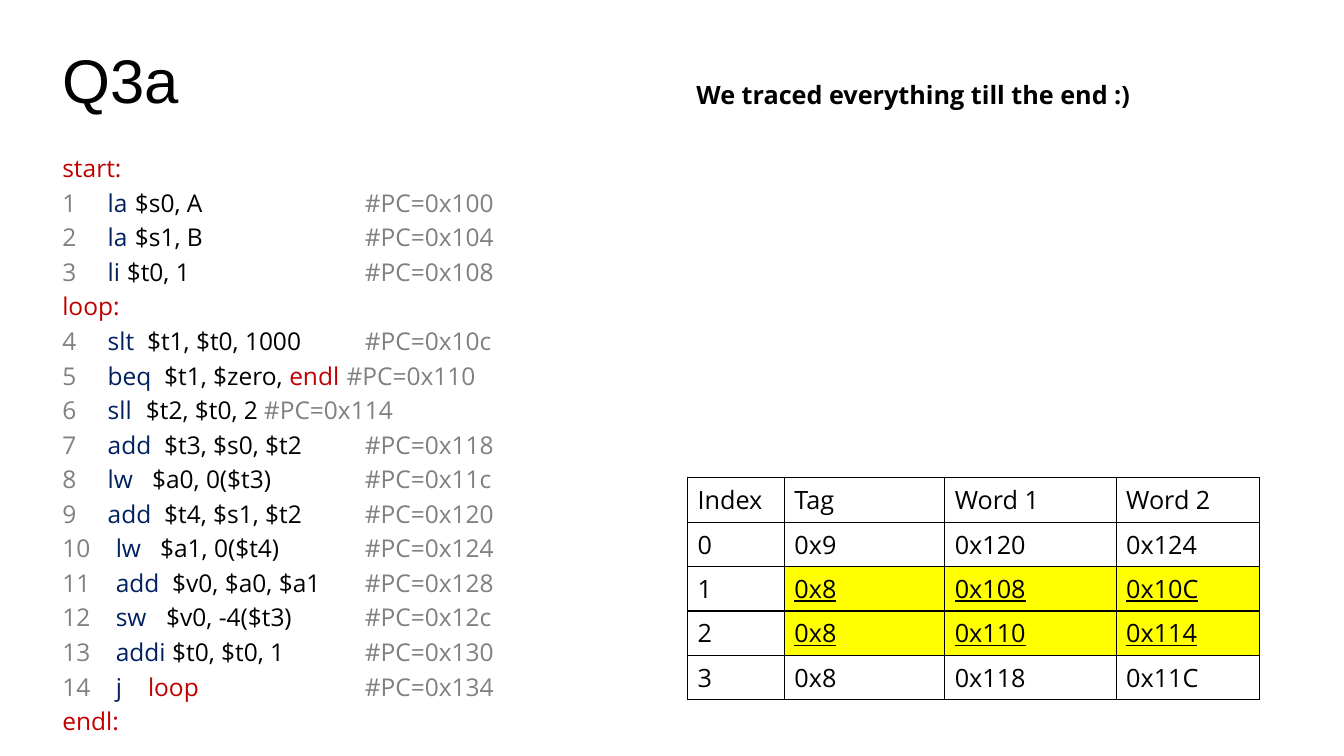
from lxml import etree
from pptx import Presentation
from pptx.dml.color import RGBColor
from pptx.enum.text import MSO_ANCHOR, MSO_AUTO_SIZE, PP_ALIGN
from pptx.oxml.ns import qn
from pptx.util import Inches, Pt

LEFT = PP_ALIGN.LEFT
MIDDLE = MSO_ANCHOR.MIDDLE
NO_AUTOFIT = MSO_AUTO_SIZE.NONE
TITLE_ONLY = 5

BODY_FONT = "Open Sans"
BLACK, WHITE, YELLOW = "000000", "FFFFFF", "FFFF00"
RED, NAVY, GRAY = "C00000", "002060", "808080"

FIRST_ADDRESS = 0x100
COMMENT_STOP = 3.0
OPERAND_OFFSETS = {
    "la": 0.27, "li": 0.19, "slt": 0.39, "beq": 0.56, "sll": 0.38,
    "add": 0.56, "lw": 0.44, "sw": 0.5, "addi": 0.56, "j": 0.32,
}
COMMENT_STOPS = {"beq": 2.82, "sll": 2.0}
PROGRAM = [
    ("start:", [("la", "$s0, A", ""), ("la", "$s1, B", ""), ("li", "$t0, 1", "")]),
    ("loop:", [
        ("slt", "$t1, $t0, 1000", ""),
        ("beq", "$t1, $zero, ", "endl"),
        ("sll", "$t2, $t0, 2", ""),
        ("add", "$t3, $s0, $t2", ""),
        ("lw", "$a0, 0($t3)", ""),
        ("add", "$t4, $s1, $t2", ""),
        ("lw", "$a1, 0($t4)", ""),
        ("add", "$v0, $a0, $a1", ""),
        ("sw", "$v0, -4($t3)", ""),
        ("addi", "$t0, $t0, 1", ""),
        ("j", "", "loop"),
    ]),
    ("endl:", []),
]
CACHE_COLUMNS = [0.96, 1.59, 1.7, 1.42]
CACHE_ROWS = [
    ["Index", "Tag", "Word 1", "Word 2"],
    ["0", "0x9", "0x120", "0x124"],
    ["1", "0x8", "0x108", "0x10C"],
    ["2", "0x8", "0x110", "0x114"],
    ["3", "0x8", "0x118", "0x11C"],
]
UPDATED_ROWS = (2, 3)


def color(value):
    """Return the colour for a hex string."""
    return RGBColor.from_string(value)


def add_run(paragraph, text, size, fill=BLACK, font=BODY_FONT, bold=False, underline=False):
    """Append one formatted run to a paragraph."""
    run = paragraph.add_run()
    run.text = text
    run.font.name = font
    run.font.size = Pt(size)
    run.font.bold = bold
    run.font.underline = underline
    run.font.color.rgb = color(fill)


def add_text_frame(slide, box):
    """Add a wrapping text box and return its text frame."""
    frame = slide.shapes.add_textbox(*map(Inches, box)).text_frame
    frame.word_wrap = True
    frame.auto_size = NO_AUTOFIT
    return frame


def set_tab_stops(paragraph, stops):
    """Give a paragraph left tab stops, in inches."""
    tab_list = etree.SubElement(paragraph._p.get_or_add_pPr(), qn("a:tabLst"))
    for stop in stops:
        etree.SubElement(tab_list, qn("a:tab"), pos=str(Inches(stop)), algn="l")


def set_borders(cell):
    """Draw a thin black line on all four sides of a cell."""
    properties = cell._tc.get_or_add_tcPr()
    for position, side in enumerate(("lnL", "lnR", "lnT", "lnB")):
        line = etree.Element(qn(f"a:{side}"), w=str(Pt(1)))
        solid = etree.SubElement(line, qn("a:solidFill"))
        etree.SubElement(solid, qn("a:srgbClr"), val=BLACK)
        properties.insert(position, line)


def place_title(slide, box, text):
    """Move the title placeholder into its box and fill it."""
    title = slide.shapes.title
    title.left, title.top, title.width, title.height = map(Inches, box)
    frame = title.text_frame
    frame.vertical_anchor = MIDDLE
    frame.auto_size = NO_AUTOFIT
    paragraph = frame.paragraphs[0]
    paragraph.alignment = LEFT
    paragraph.line_spacing = 0.9
    add_run(paragraph, text, 44, font="Arial")


def program_lines():
    """Yield the tab stops and coloured pieces of each code line."""
    number = 0
    for label, instructions in PROGRAM:
        yield [], [(label, RED)]
        for operation, operands, target in instructions:
            number += 1
            operation_stop = 0.45 if number < 10 else 0.53
            stops = [
                operation_stop,
                operation_stop + OPERAND_OFFSETS[operation],
                COMMENT_STOPS.get(operation, COMMENT_STOP),
            ]
            address = FIRST_ADDRESS + 4 * (number - 1)
            yield stops, [
                (f"{number}\t", GRAY),
                (f"{operation}\t", NAVY),
                (operands, BLACK),
                (target, RED),
                (f"\t#PC=0x{address:x}", GRAY),
            ]


def add_code(slide, box):
    """Add the assembly listing."""
    frame = add_text_frame(slide, box)
    for index, (stops, pieces) in enumerate(program_lines()):
        paragraph = frame.add_paragraph() if index else frame.paragraphs[0]
        paragraph.line_spacing = 0.7
        paragraph.space_before = Pt(10)
        if stops:
            set_tab_stops(paragraph, stops)
        for text, fill in pieces:
            if text:
                add_run(paragraph, text, 17.5, fill)


def add_remark(slide, box, text):
    """Add the bold remark above the cache."""
    add_run(add_text_frame(slide, box).paragraphs[0], text, 18, bold=True)


def add_cache_table(slide, left, top, row_height):
    """Add the cache table with its updated rows highlighted."""
    rows, columns = len(CACHE_ROWS), len(CACHE_COLUMNS)
    box = (left, top, sum(CACHE_COLUMNS), rows * row_height)
    table = slide.shapes.add_table(rows, columns, *map(Inches, box)).table
    for column, width in zip(table.columns, CACHE_COLUMNS):
        column.width = Inches(width)
    for row_index, values in enumerate(CACHE_ROWS):
        for column_index, value in enumerate(values):
            cell = table.cell(row_index, column_index)
            updated = row_index in UPDATED_ROWS and column_index > 0
            cell.fill.solid()
            cell.fill.fore_color.rgb = color(YELLOW if updated else WHITE)
            set_borders(cell)
            add_run(cell.text_frame.paragraphs[0], value, 18, underline=updated)


def main():
    """Build the slide and save it."""
    presentation = Presentation()
    presentation.slide_width = Inches(13.33)
    presentation.slide_height = Inches(7.5)
    slide = presentation.slides.add_slide(presentation.slide_layouts[TITLE_ONLY])
    place_title(slide, (0.52, 0.1, 1.4, 1.45), "Q3a")
    add_code(slide, (0.52, 1.55, 6.06, 5.95))
    add_cache_table(slide, 6.82, 4.74, 0.41)
    add_remark(slide, (6.81, 0.74, 6, 0.4), "We traced everything till the end :)")
    presentation.save("out.pptx")


if __name__ == "__main__":
    main()
